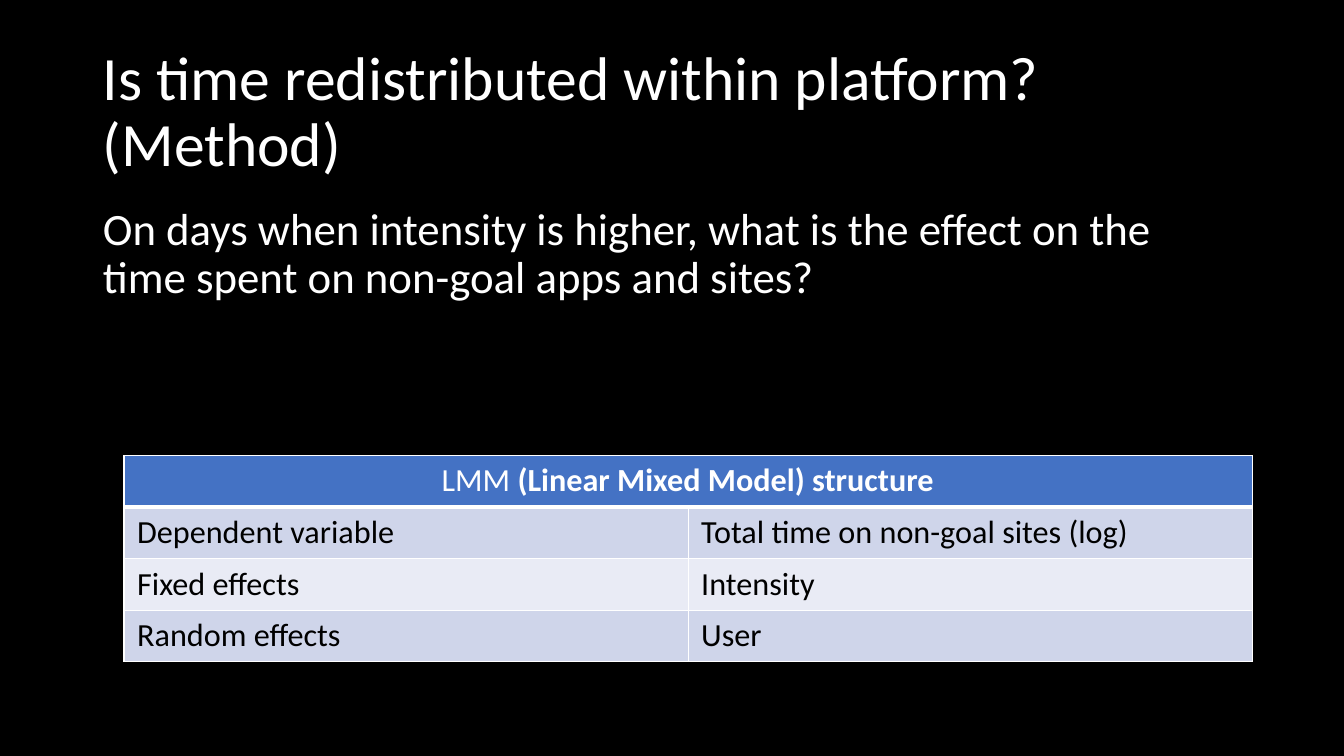
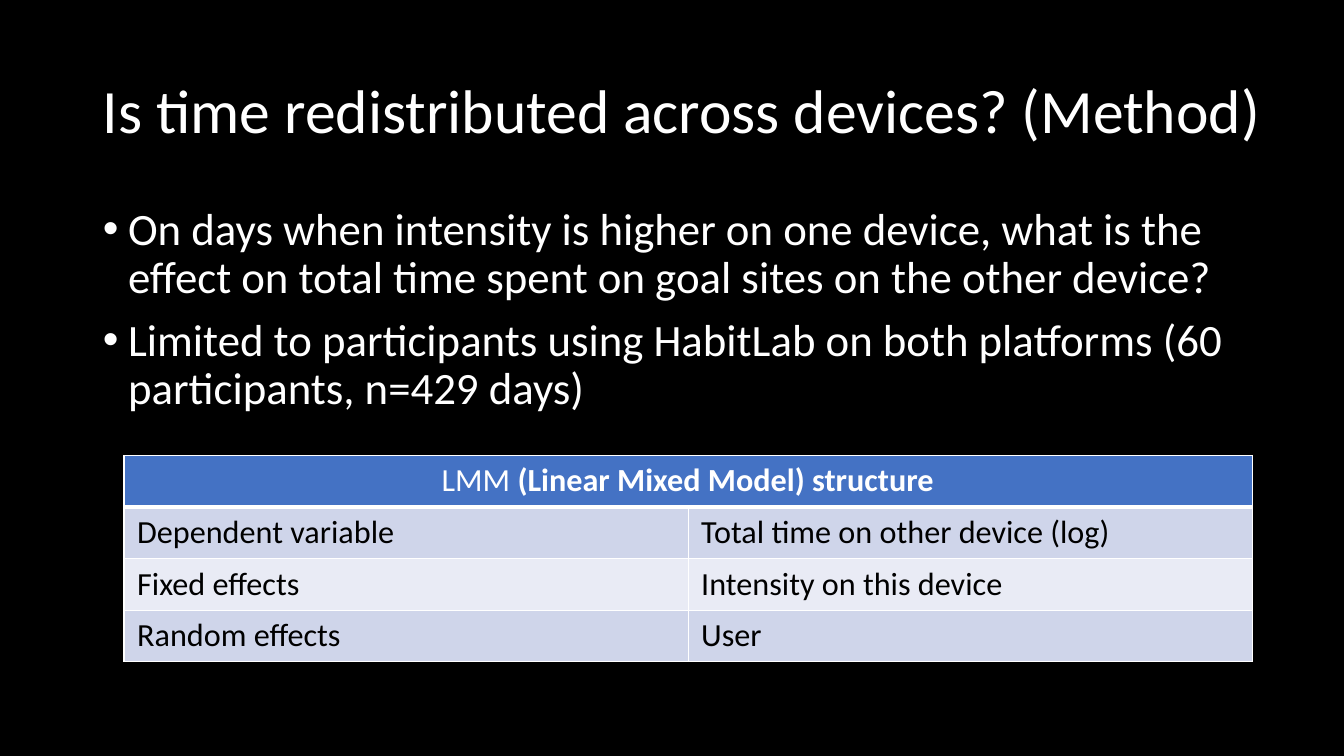
from lxml import etree
from pptx import Presentation
from pptx.dml.color import RGBColor
from pptx.enum.text import MSO_ANCHOR, MSO_AUTO_SIZE, PP_ALIGN
from pptx.oxml.ns import qn
from pptx.util import Inches, Pt

LEFT, CENTER = PP_ALIGN.LEFT, PP_ALIGN.CENTER
MIDDLE, TOP = MSO_ANCHOR.MIDDLE, MSO_ANCHOR.TOP
NO_AUTOFIT = MSO_AUTO_SIZE.NONE

FONT = "Calibri"
COLORS = {
    "background": "000000",
    "text": "FFFFFF",
    "header": "4472C4",
    "band_dark": "CFD5EA",
    "band_light": "E9EBF5",
    "cell_text": "000000",
    "border": "FFFFFF",
}
TITLE_BOX = (0.92, 0.4, 11.87, 1.45)
TABLE_BOX = (1.23, 4.52, 11.19, 2.04)
BODY_LEFT, BODY_TOP, BODY_WIDTH = 0.92, 2, 11.5
TABLE_HEADING = (("LMM ", False), ("(Linear Mixed Model) structure", True))
ROW_LABELS = ("Dependent variable", "Fixed effects", "Random effects")

METHODS = [
    {
        "title": "Is time redistributed within platform? (Method)",
        "body": ["On days when intensity is higher, what is the effect on the "
                 "time spent on non-goal apps and sites?"],
        "bulleted": False,
        "body_height": 5.35,
        "values": ("Total time on non-goal sites (log)", "Intensity", "User"),
    },
    {
        "title": "Is time redistributed across devices? (Method)",
        "body": ["On days when intensity is higher on one device, what is the effect "
                 "on total time spent on goal sites on the other device?",
                 "Limited to participants using HabitLab on both platforms "
                 "(60 participants, n=429 days)"],
        "bulleted": True,
        "body_height": 4.76,
        "values": ("Total time on other device (log)", "Intensity on this device", "User"),
    },
]


def rgb(name):
    return RGBColor.from_string(COLORS[name])


def style_font(font, size, color, bold=False):
    font.name, font.size, font.bold = FONT, Pt(size), bold
    font.color.rgb = rgb(color)


def place(shape, box):
    shape.left, shape.top, shape.width, shape.height = map(Inches, box)


def set_bullet(paragraph, bulleted):
    """Give the paragraph a hanging bullet, or remove the inherited one."""
    properties = paragraph._p.get_or_add_pPr()
    indent = Inches(0.25) if bulleted else 0
    properties.set("marL", str(indent))
    properties.set("indent", str(-indent))
    if bulleted:
        etree.SubElement(properties, qn("a:buFont")).set("typeface", "Arial")
        etree.SubElement(properties, qn("a:buChar")).set("char", "•")
    else:
        etree.SubElement(properties, qn("a:buNone"))


def set_borders(cell, **widths):
    """Draw the sides L, R, T and B, in that order, ahead of the cell's fill."""
    properties = cell._tc.get_or_add_tcPr()
    for position, (side, width) in enumerate(widths.items()):
        line = etree.Element(qn(f"a:ln{side}"), w=str(Pt(width)))
        fill = etree.SubElement(line, qn("a:solidFill"))
        etree.SubElement(fill, qn("a:srgbClr")).set("val", COLORS["border"])
        properties.insert(position, line)


def fill_placeholder(placeholder, box, paragraphs, size, anchor, bulleted=False):
    place(placeholder, box)
    frame = placeholder.text_frame
    frame.text = "\n".join(paragraphs)
    frame.auto_size = NO_AUTOFIT
    frame.word_wrap = True
    frame.vertical_anchor = anchor
    for index, paragraph in enumerate(frame.paragraphs):
        set_bullet(paragraph, bulleted)
        paragraph.alignment = LEFT
        paragraph.line_spacing = 0.9
        paragraph.space_before = Pt(10 if index else 0)
        for run in paragraph.runs:
            style_font(run.font, size, "text")


def add_model_table(slide, box, values):
    rows = list(zip(ROW_LABELS, values))
    frame = slide.shapes.add_table(len(rows) + 1, 2, *map(Inches, box))
    table = frame.table
    for column in table.columns:
        column.width = Inches(box[2] / 2)

    # Header spanning both columns
    heading = table.cell(0, 0)
    heading.merge(table.cell(0, 1))
    paragraph = heading.text_frame.paragraphs[0]
    paragraph.alignment = CENTER
    for text, bold in TABLE_HEADING:
        run = paragraph.add_run()
        run.text = text
        style_font(run.font, 23, "text", bold)
    for cell in table.rows[0].cells:
        cell.fill.solid()
        cell.fill.fore_color.rgb = rgb("header")
        set_borders(cell, L=1, R=1, T=1, B=3)

    # Banded rows of the model's parts
    for row, texts in enumerate(rows, start=1):
        for column, text in enumerate(texts):
            cell = table.cell(row, column)
            cell.text_frame.text = text
            cell.margin_left = cell.margin_right = Inches(0.13)
            cell.margin_top = cell.margin_bottom = Inches(0.06)
            style_font(cell.text_frame.paragraphs[0].runs[0].font, 23, "cell_text")
            cell.fill.solid()
            cell.fill.fore_color.rgb = rgb("band_dark" if row % 2 else "band_light")
            set_borders(cell, L=1, R=1, T=3 if row == 1 else 1, B=1)


def add_method_slide(prs, method):
    slide = prs.slides.add_slide(prs.slide_layouts[1])
    fill_placeholder(slide.shapes.title, TITLE_BOX, [method["title"]], 44, MIDDLE)
    body_box = (BODY_LEFT, BODY_TOP, BODY_WIDTH, method["body_height"])
    fill_placeholder(slide.placeholders[1], body_box, method["body"], 32, TOP,
                     method["bulleted"])
    add_model_table(slide, TABLE_BOX, method["values"])


def main():
    prs = Presentation()
    prs.slide_width, prs.slide_height = Inches(13.33), Inches(7.5)
    background = prs.slide_master.background.fill
    background.solid()
    background.fore_color.rgb = rgb("background")
    for method in METHODS:
        add_method_slide(prs, method)
    prs.save("out.pptx")


if __name__ == "__main__":
    main()
